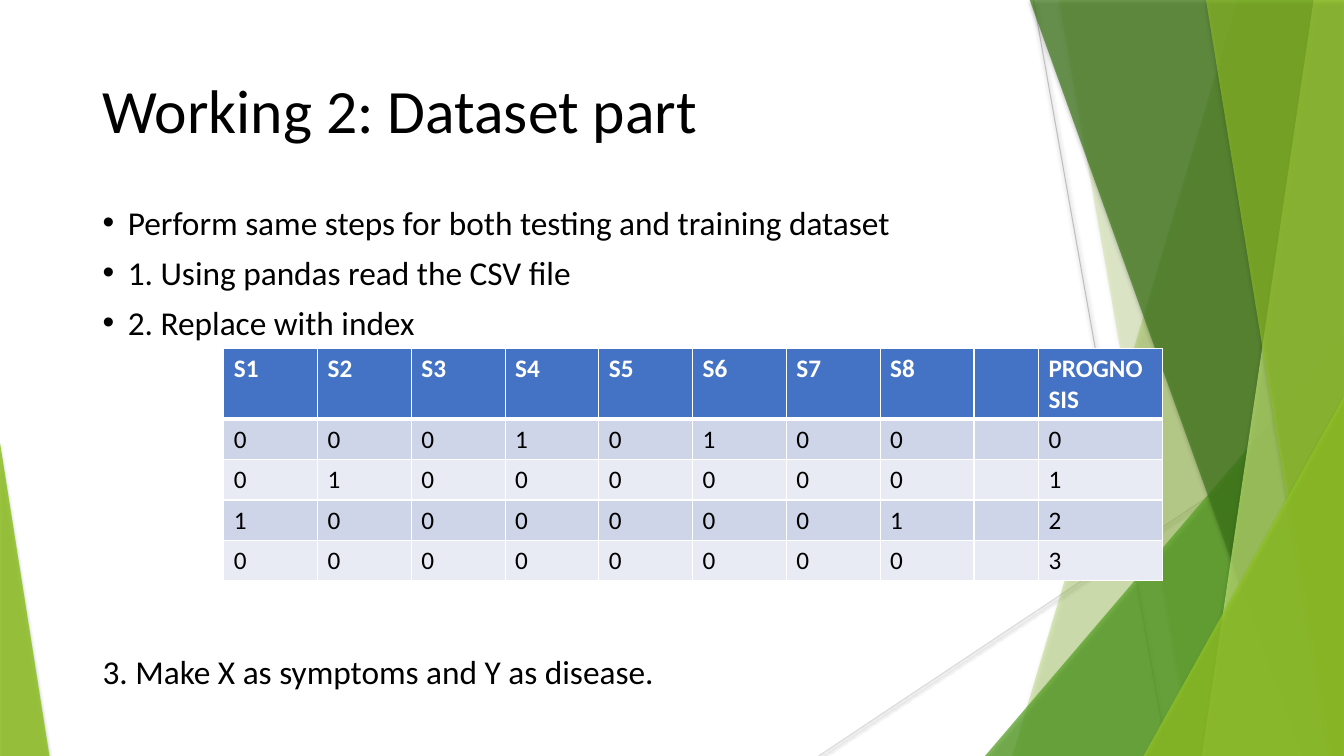
from lxml import etree
from pptx import Presentation
from pptx import util as u
from pptx.dml.color import RGBColor
from pptx.enum import shapes, text
from pptx.oxml import ns

COLORS = {
    "black": "000000", "white": "FFFFFF", "silver": "BFBFBF", "mist": "D9D9D9",
    "lime": "90C226", "green": "54A021", "forest": "3F7819", "pale": "C0E474",
    "header": "4472C4", "odd": "CFD5E9", "even": "E8EBF4",
}
FONT = "Calibri"
TOP, BOTTOM, RIGHT = -0.01, 7.5, 13.33


def color(name):
    """Return the named colour as an RGBColor."""
    return RGBColor.from_string(COLORS[name])


def child(parent, tag, **attributes):
    """Append a DrawingML element to parent and return it."""
    values = {key: str(value) for key, value in attributes.items()}
    return etree.SubElement(parent, ns.qn("a:" + tag), values)


def add_shadow(shape, alpha, blur, distance):
    """Give a shape a soft black shadow that falls straight down."""
    effects = child(shape._element.spPr, "effectLst")
    shadow = child(effects, "outerShdw", blurRad=u.Pt(blur), dist=u.Pt(distance),
                   dir=90 * 60000, algn="ctr", rotWithShape=0)
    tint = child(shadow, "srgbClr", val=COLORS["black"])
    child(tint, "alpha", val=alpha * 1000)


def add_ray(page, start, end, tone):
    """Draw a thin decorative line."""
    ray = page.shapes.add_connector(
        shapes.MSO_CONNECTOR.STRAIGHT, *(u.Inches(v) for v in start + end))
    ray.line.color.rgb = color(tone)
    ray.line.width = u.Pt(0.75)
    add_shadow(ray, alpha=38, blur=3.1, distance=1.6)


def paint_facet(shape, tone, opacity):
    """Fill a facet with a translucent colour, no outline and a shadow."""
    shape.fill.solid()
    shape.fill.fore_color.rgb = color(tone)
    tint = shape._element.spPr.find(".//" + ns.qn("a:srgbClr"))
    child(tint, "alpha", val=opacity * 1000)
    shape.line.fill.background()
    add_shadow(shape, alpha=35, blur=3, distance=2)


def add_band(page, top_x, bottom_x, tone, opacity):
    """Draw a full-height band from a slanted left edge to the page's right."""
    corners = [(top_x, TOP), (RIGHT, TOP), (RIGHT, BOTTOM), (bottom_x, BOTTOM)]
    points = [(u.Inches(x), u.Inches(y)) for x, y in corners]
    builder = page.shapes.build_freeform(*points[0])
    builder.add_line_segments(points[1:], close=True)
    paint_facet(builder.convert_to_shape(), tone, opacity)


def add_corner(page, area, apex, tone, opacity):
    """Draw a triangle whose apex is at the given share of its width."""
    corner = page.shapes.add_shape(
        shapes.MSO_SHAPE.ISOSCELES_TRIANGLE, *(u.Inches(v) for v in area))
    corner.adjustments[0] = apex
    paint_facet(corner, tone, opacity)


def add_span(para, words, size, tone="black", bold=False):
    """Add a formatted run to a paragraph."""
    span = para.add_run()
    span.text = words
    span.font.name = FONT
    span.font.size = u.Pt(size)
    span.font.bold = bold
    span.font.color.rgb = color(tone)


def add_bullet(para):
    """Give a paragraph a round bullet with a hanging indent."""
    properties = para._p.get_or_add_pPr()
    properties.set("marL", str(u.Inches(0.25)))
    properties.set("indent", str(u.Inches(-0.25)))
    child(child(properties, "buClr"), "srgbClr", val=COLORS["black"])
    child(properties, "buFont", typeface="Arial")
    child(properties, "buChar", char="•")


def add_text(page, area, lines, size, anchor=text.MSO_ANCHOR.TOP):
    """Add a text box from (words, space before, bulleted) lines."""
    box = page.shapes.add_textbox(*(u.Inches(v) for v in area))
    frame = box.text_frame
    frame.word_wrap = True
    frame.vertical_anchor = anchor
    for index, (words, gap, bulleted) in enumerate(lines):
        para = frame.add_paragraph() if index else frame.paragraphs[0]
        para.line_spacing = 0.9
        para.space_before = u.Pt(gap)
        if bulleted:
            add_bullet(para)
        add_span(para, words, size)


def add_borders(cell, **widths):
    """Draw white borders on a cell, one width in points for each side."""
    properties = cell._tc.get_or_add_tcPr()
    for side, width in widths.items():
        edge = child(properties, "ln" + side, w=u.Pt(width))
        child(child(edge, "solidFill"), "srgbClr", val=COLORS["white"])


def add_grid(page, area, widths, heights, rows):
    """Add a banded table with a bold header row."""
    grid = page.shapes.add_table(
        len(rows), len(widths), *(u.Inches(v) for v in area)).table
    for column, width in zip(grid.columns, widths):
        column.width = u.Inches(width)
    for r, row in enumerate(rows):
        grid.rows[r].height = u.Inches(heights[r])
        fill = "header" if r == 0 else "odd" if r % 2 else "even"
        for c, words in enumerate(row):
            cell = grid.cell(r, c)
            add_borders(cell, L=0.96, R=0.96, T=3 if r == 1 else 0.96,
                        B=3 if r == 0 else 0.96)
            cell.fill.solid()
            cell.fill.fore_color.rgb = color(fill)
            if words:
                add_span(cell.text_frame.paragraphs[0], words, 18,
                         tone="black" if r else "white", bold=r == 0)


def add_backdrop(page):
    """Draw the green facets at both sides of the page."""
    add_ray(page, (10.25, 0), (11.58, BOTTOM), "silver")
    add_ray(page, (RIGHT, 4.03), (8.12, BOTTOM), "mist")
    add_band(page, 12.28, 10.04, "lime", 30)
    add_band(page, 10.5, 11.82, "lime", 20)
    add_corner(page, (9.77, 3.33, 3.56, 4.17), 1, "green", 72)
    add_band(page, 10.21, 12.91, "forest", 70)
    add_band(page, 13.03, 11.92, "pale", 70)
    add_band(page, 11.96, 13.18, "lime", 65)
    add_corner(page, (11.34, 3.93, 1.99, 3.57), 1, "lime", 80)
    add_corner(page, (0, 4.39, 0.49, 3.11), 0, "lime", 85)


def main():
    """Build the dataset slide and save it."""
    deck = Presentation()
    deck.slide_width, deck.slide_height = u.Inches(RIGHT), u.Inches(BOTTOM)
    page = deck.slides.add_slide(deck.slide_layouts[6])
    add_backdrop(page)
    add_text(page, (0.92, 0.4, 11.5, 1.45),
             [("Working 2: Dataset part", 0, False)], 44, text.MSO_ANCHOR.MIDDLE)
    add_text(page, (0.92, 2, 11.5, 4.76), [
        ("Perform same steps for both testing and training dataset", 10, True),
        ("1. Using pandas read the CSV file", 10, True),
        ("2. Replace with index", 10, True),
        ("3. Make X as symptoms and Y as disease.", 224, False),
    ], 23.8)
    symptoms = ["00010100", "01000000", "10000001", "00000000"]
    header = [f"S{n}" for n in range(1, 9)] + ["", "PROGNOSIS"]
    rows = [[*flags, "", str(n)] for n, flags in enumerate(symptoms)]
    add_grid(page, (2.22, 3.46, 9.33, 2.2), [0.93] * 8 + [0.64, 1.23],
             [0.6] + [0.4] * 4, [header] + rows)
    deck.save("out.pptx")


main()
